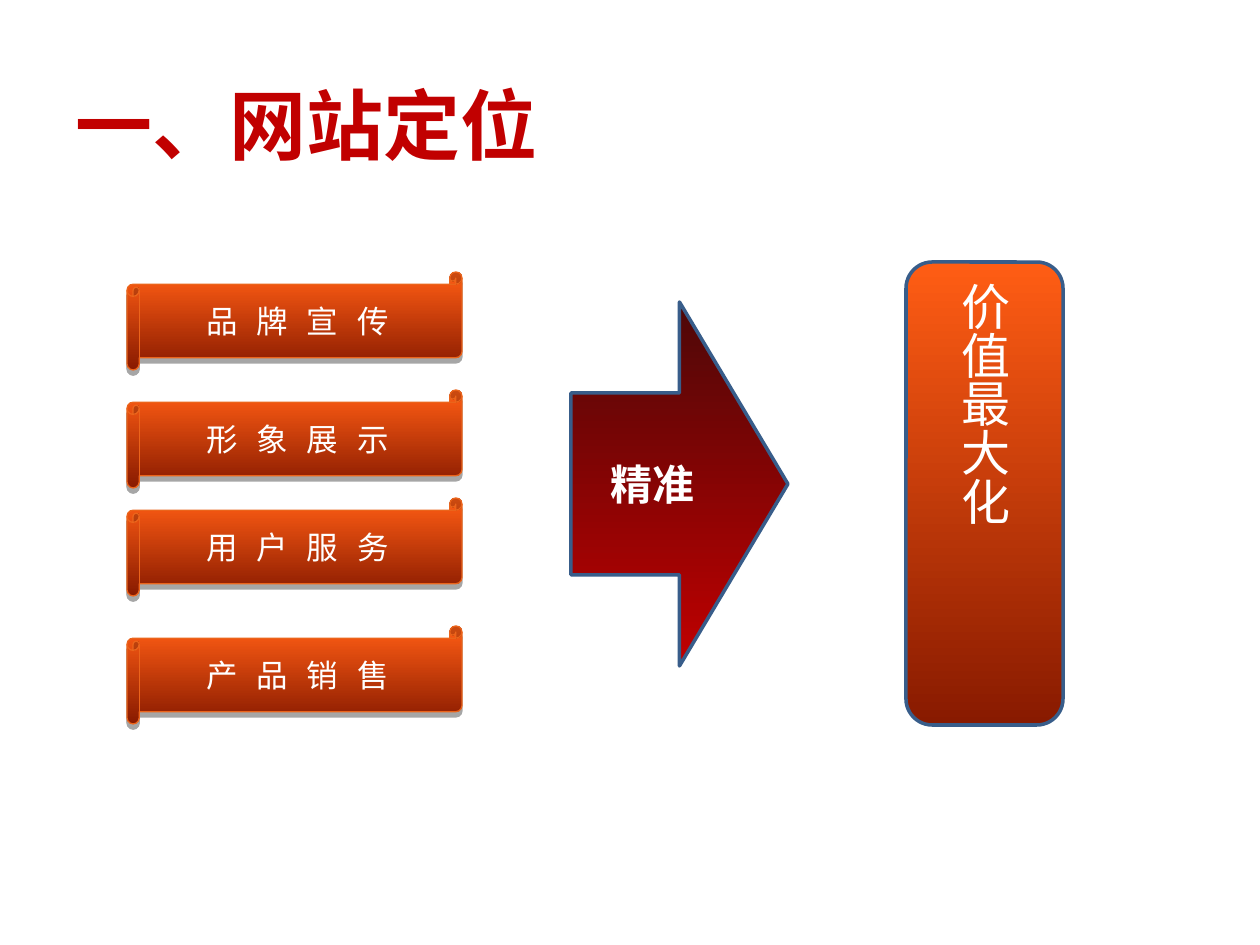
from lxml.etree import SubElement
from pptx import Presentation
from pptx.dml.color import RGBColor
from pptx.enum.shapes import MSO_SHAPE
from pptx.enum.text import MSO_ANCHOR, PP_ALIGN
from pptx.oxml.ns import qn
from pptx.util import Pt

TITLE_RED = RGBColor(0xC1, 0x00, 0x00)
WHITE = RGBColor(0xFF, 0xFF, 0xFF)
BLUE = RGBColor(0x38, 0x5D, 0x8A)
ORANGE = RGBColor(0xEB, 0x64, 0x1B)
RED_GRADIENT = RGBColor(0xC0, 0x00, 0x00), RGBColor(0x4D, 0x08, 0x08)
ORANGE_GRADIENT = RGBColor(0x88, 0x1A, 0x00), RGBColor(0xFF, 0x5D, 0x14)
SANS, MONO = "Noto Sans CJK SC", "Noto Sans Mono"

TITLE = "一、网站定位"
SCROLLS = [("品 牌 宣 传", 272), ("形 象 展 示", 390),
           ("用 户 服 务", 498), ("产 品 销 售", 626)]
ARROW = "精准"
GOAL = "价值最大化"


def px(*values):
    return [round(v * 914400 / 126) for v in values]


def write(tf, text, size, font, color, bold=False, align=PP_ALIGN.CENTER):
    tf.word_wrap = True
    tf.vertical_anchor = MSO_ANCHOR.MIDDLE
    p = tf.paragraphs[0]
    p.alignment = align
    r = p.add_run()
    r.text = text
    r.font.size = Pt(size)
    r.font.bold = bold
    r.font.color.rgb = color
    r.font.name = font
    SubElement(r._r.get_or_add_rPr(), qn("a:ea"), typeface=font)


def add_block(s, kind, box, gradient, line, width, text, size, bold=False):
    sp = s.shapes.add_shape(kind, *px(*box))
    sp.shadow.inherit = False
    sp.fill.gradient()
    sp.fill.gradient_angle = 90
    for stop, color, position in zip(sp.fill.gradient_stops, gradient, (0, 1)):
        stop.color.rgb = color
        stop.position = position
    sp.line.color.rgb = line
    sp.line.width = Pt(width)
    write(sp.text_frame, text, size, MONO, WHITE, bold)
    return sp


def drop_shadow(sp):
    effects = sp._element.spPr.find(qn("a:effectLst"))
    shadow = SubElement(effects, qn("a:outerShdw"), blurRad="0",
                        dist=str(Pt(3)), dir="5400000", rotWithShape="0")
    color = SubElement(shadow, qn("a:srgbClr"), val="000000")
    SubElement(color, qn("a:alpha"), val="35000")


def main():
    prs = Presentation()
    prs.slide_width, prs.slide_height = px(1260, 945)
    s = prs.slides.add_slide(prs.slide_layouts[6])

    title = s.shapes.add_textbox(*px(63, 63, 1102, 122))
    write(title.text_frame, TITLE, 44, SANS, TITLE_RED, True, PP_ALIGN.LEFT)

    add_block(s, MSO_SHAPE.RIGHT_ARROW, (571, 302, 217, 364),
              RED_GRADIENT, BLUE, 2, ARROW, 24, True)

    goal = add_block(s, MSO_SHAPE.ROUNDED_RECTANGLE, (906, 262, 157, 463),
                     ORANGE_GRADIENT, BLUE, 2, GOAL, 28)
    tf = goal.text_frame
    tf.margin_left = tf.margin_right = Pt(3.6)
    tf.margin_top = tf.margin_bottom = Pt(7.2)
    tf._txBody.bodyPr.set("vert", "eaVert")

    for text, top in SCROLLS:
        drop_shadow(add_block(s, MSO_SHAPE.HORIZONTAL_SCROLL, (127, top, 335, 98),
                              ORANGE_GRADIENT, ORANGE, 0.75, text, 18))

    prs.save("out.pptx")


if __name__ == "__main__":
    main()
